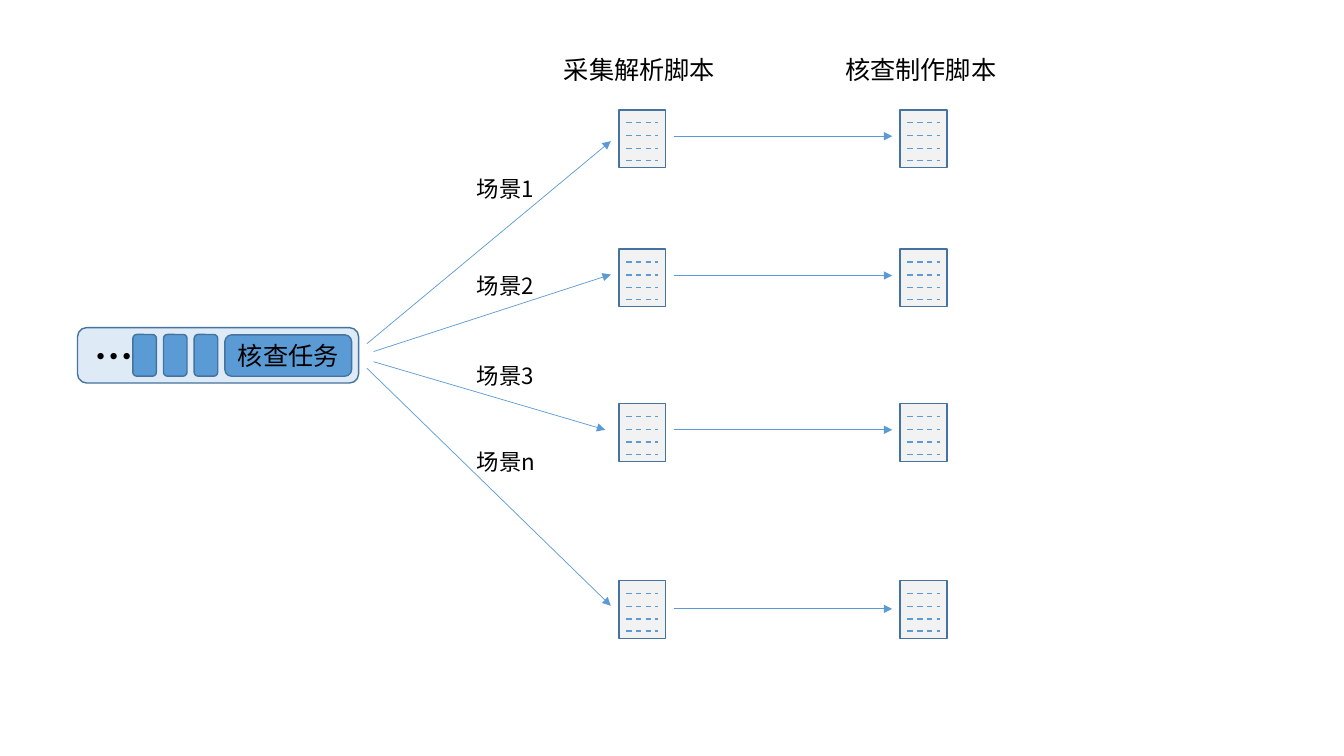
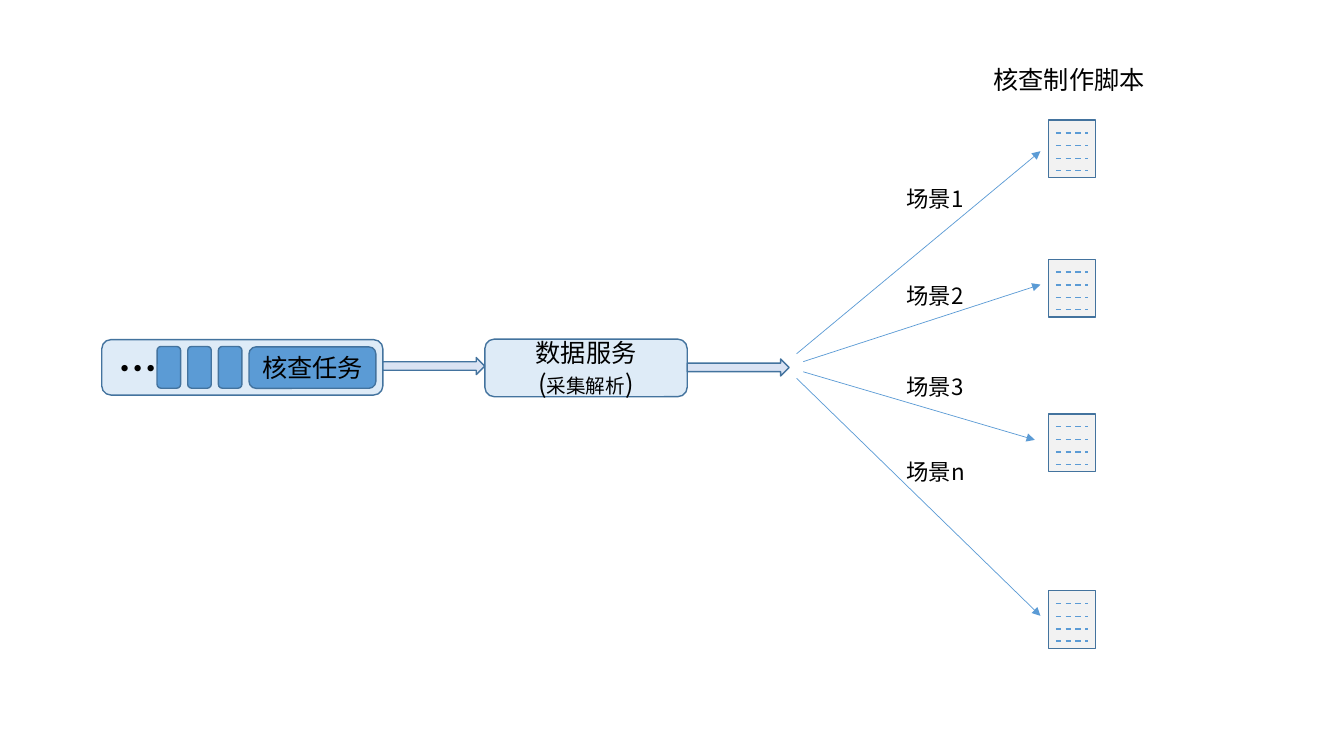
from lxml import etree
from pptx import Presentation
from pptx.dml.color import RGBColor
from pptx.enum.dml import MSO_LINE
from pptx.enum.shapes import MSO_CONNECTOR, MSO_SHAPE
from pptx.enum.text import MSO_ANCHOR, PP_ALIGN
from pptx.oxml.ns import qn
from pptx.util import Pt

# Shared style
FONT = "Noto Sans CJK SC"
BLACK = RGBColor(0x00, 0x00, 0x00)
BLUE = RGBColor(0x5B, 0x9B, 0xD5)
OUTLINE = RGBColor(0x43, 0x73, 0x9E)
PALE_BLUE = RGBColor(0xDE, 0xEB, 0xF7)
ARROW_FILL = RGBColor(0xDA, 0xE3, 0xF3)
PAPER = RGBColor(0xF2, 0xF2, 0xF2)
HEADING = {"size": Pt(18)}
LABEL = {"size": Pt(16)}
SMALL = {"size": Pt(14)}
DOTS = {"size": Pt(28), "bold": True}

# Content
TASK = "核查任务"
PARSE_HEADING = "采集解析脚本"
BUILD_HEADING = "核查制作脚本"
SERVICE = [
    [("数据服务", HEADING)],
    [("(", HEADING), ("采集解析", SMALL), (")", HEADING)],
]

# Scenes, measured from the top left corner of the first script page
SCENES = [
    {"label": "场景1", "label_top": 43.2, "page_top": 0, "start": (-180, 167),
     "end": (-5.8, 22.3), "link": 18.8},
    {"label": "场景2", "label_top": 112.2, "page_top": 99.5, "start": (-175.2, 172.6),
     "end": (-5.8, 117.6), "link": 18.8},
    {"label": "场景3", "label_top": 177, "page_top": 209.9, "start": (-175.2, 179.9),
     "end": (-9.8, 228.5), "link": 18.6},
    {"label": "场景n", "label_top": 237.8, "page_top": 336.2, "start": (-180, 184.5),
     "end": (-5.8, 354.2), "link": 20.2},
]

# Layout in points
PAGE_WIDTH, PAGE_HEIGHT = 33.4, 41.2
DASH_INSET = 5.2
DASH_TOPS = (9.2, 18.4, 27.4, 36.1)
COLUMN_STEP = 200.9
SLOT_COUNT, SLOT_STEP = 3, 21.9


def add_text(box, paragraphs, align=PP_ALIGN.LEFT, anchor=MSO_ANCHOR.TOP):
    frame = box.text_frame
    frame.word_wrap = True
    frame.vertical_anchor = anchor
    for index, spans in enumerate(paragraphs):
        para = frame.paragraphs[0] if index == 0 else frame.add_paragraph()
        para.alignment = align
        for text, style in spans:
            span = para.add_run()
            span.text = text
            for name, value in {"name": FONT, **style}.items():
                setattr(span.font, name, value)
            span.font.color.rgb = BLACK
            east_asian = etree.SubElement(span.font._element, qn("a:ea"))
            east_asian.set("typeface", FONT)


def add_label(page, text, style, left, top, width, height):
    box = page.shapes.add_textbox(Pt(left), Pt(top), Pt(width), Pt(height))
    add_text(box, [[(text, style)]])


def add_block(page, kind, fill, left, top, width, height, paragraphs=()):
    block = page.shapes.add_shape(kind, Pt(left), Pt(top), Pt(width), Pt(height))
    block.shadow.inherit = False
    block.fill.solid()
    block.fill.fore_color.rgb = fill
    block.line.color.rgb = OUTLINE
    block.line.width = Pt(1)
    if paragraphs:
        add_text(block, paragraphs, PP_ALIGN.CENTER, MSO_ANCHOR.MIDDLE)


def add_line(page, start, end, width, dashed=False):
    """Draw a dashed rule, or an arrow when not dashed."""
    line = page.shapes.add_connector(
        MSO_CONNECTOR.STRAIGHT, *(Pt(value) for value in (*start, *end)))
    line.line.color.rgb = BLUE
    line.line.width = Pt(width)
    if dashed:
        line.line.dash_style = MSO_LINE.DASH
    else:
        head = etree.SubElement(line.line._get_or_add_ln(), qn("a:tailEnd"))
        head.set("type", "triangle")
    etree.SubElement(line._element.spPr, qn("a:effectLst"))


def add_queue(page, left, top):
    rounded = MSO_SHAPE.ROUNDED_RECTANGLE
    add_block(page, rounded, PALE_BLUE, left, top, 200.8, 39.6)
    add_block(page, rounded, BLUE, left + 105.2, top + 5.2, 90.6, 29.6,
              [[(TASK, HEADING)]])
    for slot in range(SLOT_COUNT):
        add_block(page, rounded, BLUE, left + 39.5 + slot * SLOT_STEP, top + 4.9, 16.8, 29.8)
    add_label(page, "…", DOTS, left + 5, top, 41.8, 41.2)


def add_script_column(page, heading, left, top):
    add_label(page, heading, HEADING, left - 46.4, top - 43.2, 125.2, 29)
    for scene in SCENES:
        page_top = top + scene["page_top"]
        add_block(page, MSO_SHAPE.RECTANGLE, PAPER, left, page_top, PAGE_WIDTH, PAGE_HEIGHT)
        for dash_top in DASH_TOPS:
            y = page_top + dash_top
            add_line(page, (left + DASH_INSET, y),
                     (left + PAGE_WIDTH - DASH_INSET, y), 1, dashed=True)


def add_fan(page, left, top):
    for scene in SCENES:
        start, end = [(left + x, top + y) for x, y in (scene["start"], scene["end"])]
        add_line(page, start, end, 0.5)
        add_label(page, scene["label"], LABEL, left - 108.6, top + scene["label_top"], 61.9, 26.6)


def add_links(page, left, top):
    for scene in SCENES:
        y = top + scene["page_top"] + scene["link"]
        add_line(page, (left + 39, y), (left + 195.2, y), 0.5)


def build_direct_slide(page):
    left, top = 442.1, 78.5
    add_queue(page, 55.4, 234)
    add_fan(page, left, top)
    add_script_column(page, PARSE_HEADING, left, top)
    add_script_column(page, BUILD_HEADING, left + COLUMN_STEP, top)
    add_links(page, left, top)


def build_service_slide(page):
    left, top = 749, 85.7
    add_queue(page, 72.7, 242.6)
    add_fan(page, left, top)
    add_script_column(page, BUILD_HEADING, left, top)
    add_block(page, MSO_SHAPE.ROUNDED_RECTANGLE, PALE_BLUE, 346.3, 242.2, 144.6, 41.2, SERVICE)
    for arrow_left, arrow_top in ((273.5, 255.4), (490.9, 256.4)):
        add_block(page, MSO_SHAPE.RIGHT_ARROW, ARROW_FILL, arrow_left, arrow_top, 72.8, 12.2)


def main():
    deck = Presentation()
    deck.slide_width, deck.slide_height = Pt(960), Pt(540)
    for build in (build_direct_slide, build_service_slide):
        build(deck.slides.add_slide(deck.slide_layouts[6]))
    deck.save("out.pptx")


if __name__ == "__main__":
    main()
